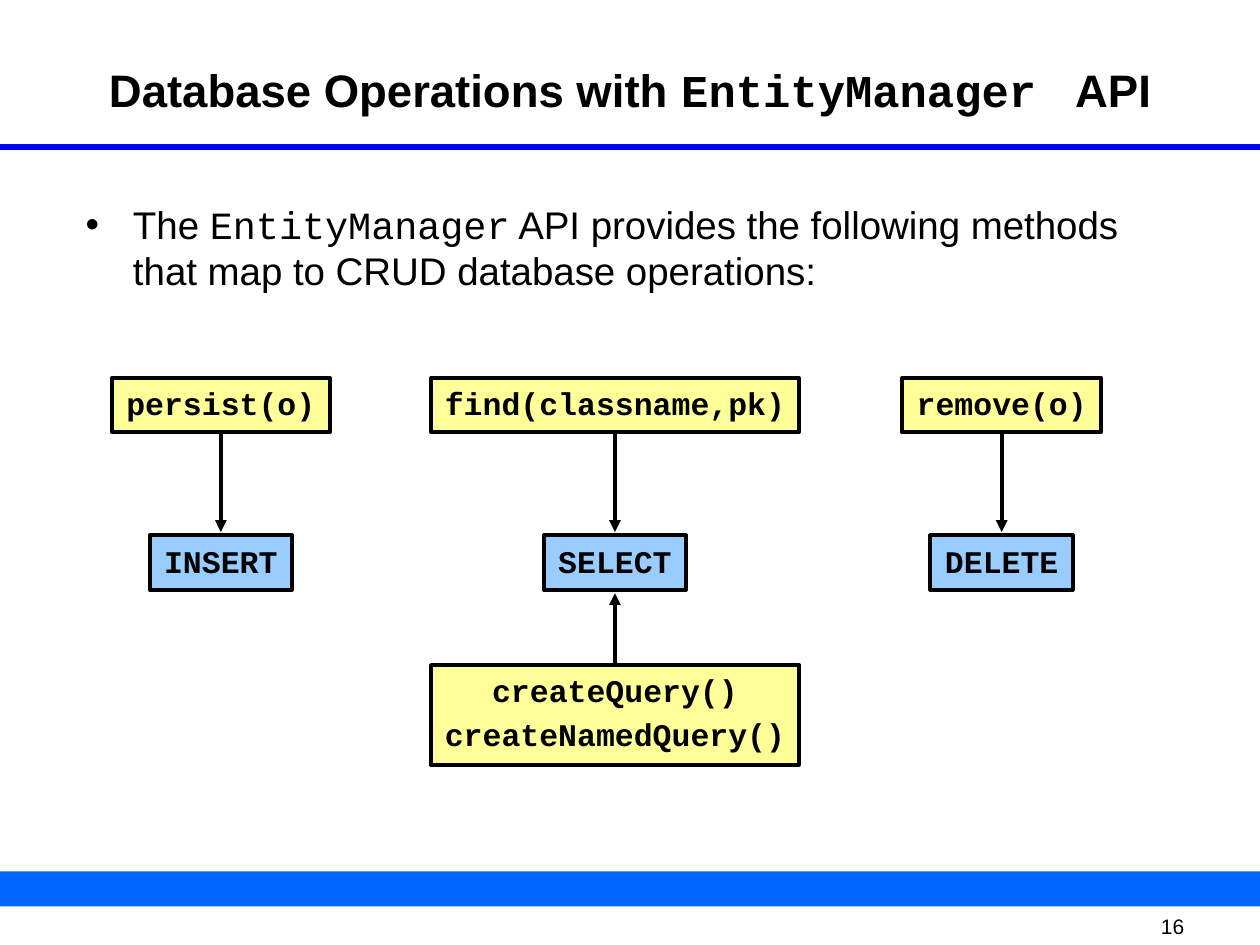
from lxml.etree import SubElement
from pptx import Presentation
from pptx.dml.color import RGBColor
from pptx.enum.shapes import MSO_CONNECTOR as Connector, MSO_SHAPE as Shape
from pptx.enum.text import MSO_ANCHOR as Anchor, PP_ALIGN as Align
from pptx.oxml.ns import qn
from pptx.util import Pt

SANS, MONO = "Arial", "Courier New"
BLACK, YELLOW, SKY = "000000", "FFFF99", "99CCFF"
BAR_BLUE, RULE_BLUE = "0066FF", "0000FF"
WIDTH, HEIGHT = 720, 540

TITLE = [("Database Operations with ", SANS), ("EntityManager ", MONO), (" API", SANS)]
INTRO = [
    ("The ", SANS),
    ("EntityManager", MONO),
    (" API provides the following methods that map to CRUD database operations:", SANS),
]
OPERATIONS = [
    {"center": 126.2, "method": "persist(o)", "width": 124.6, "sql": "INSERT"},
    {"center": 351.4, "method": "find(classname,pk)", "width": 210.2, "sql": "SELECT",
     "queries": ["createQuery()", "createNamedQuery()"]},
    {"center": 572.4, "method": "remove(o)", "width": 113.8, "sql": "DELETE"},
]
METHOD_TOP, SQL_TOP, QUERY_TOP = 216, 306, 380
BOX_HEIGHT, QUERY_HEIGHT, SQL_WIDTH = 31, 57, 81.4
ARROW_GAP = 2


def color(value):
    return RGBColor.from_string(value)


def write(shape, paragraphs, size, bold=False, align=Align.LEFT, anchor=Anchor.TOP,
          inset=None, wrap=True, spacing=0.2, bullet=False):
    frame = shape.text_frame
    frame.word_wrap = wrap
    frame.vertical_anchor = anchor
    if inset is not None:
        frame.margin_left = frame.margin_right = Pt(inset)
        frame.margin_top = frame.margin_bottom = Pt(inset)
    for index, spans in enumerate(paragraphs):
        para = frame.add_paragraph() if index else frame.paragraphs[0]
        para.alignment = align
        para.space_before = Pt(size * spacing)
        if bullet:
            props = para._p.get_or_add_pPr()
            props.set("marL", str(Pt(27)))
            props.set("indent", str(Pt(-27)))
            SubElement(props, qn("a:buFont"), typeface=SANS)
            SubElement(props, qn("a:buChar"), char="•")
        for text, font in spans:
            span = para.add_run()
            span.text = text
            span.font.name = font
            span.font.size = Pt(size)
            span.font.bold = bold
            span.font.color.rgb = color(BLACK)


def add_text(page, left, top, width, height, paragraphs, **style):
    box = page.shapes.add_textbox(Pt(left), Pt(top), Pt(width), Pt(height))
    write(box, paragraphs, **style)


def add_rect(page, left, top, width, height, fill):
    rect = page.shapes.add_shape(Shape.RECTANGLE, Pt(left), Pt(top), Pt(width), Pt(height))
    rect.shadow.inherit = False
    rect.fill.solid()
    rect.fill.fore_color.rgb = color(fill)
    rect.line.fill.background()
    return rect


def add_code_box(page, center, top, width, height, lines, fill):
    box = add_rect(page, center - width / 2, top, width, height, fill)
    box.line.color.rgb = color(BLACK)
    box.line.width = Pt(2.25)
    write(box, [[(line, MONO)] for line in lines], size=18, bold=True,
          align=Align.CENTER, wrap=False)
    return box


def add_line(page, x1, y1, x2, y2, stroke, weight):
    line = page.shapes.add_connector(Connector.STRAIGHT, Pt(x1), Pt(y1), Pt(x2), Pt(y2))
    line.line.color.rgb = color(stroke)
    line.line.width = Pt(weight)
    SubElement(line._element.spPr, qn("a:effectLst"))
    return line


def add_arrow(page, box, side, center, start, end):
    arrow = add_line(page, center, start, center, end, BLACK, 2.25)
    SubElement(arrow.line._get_or_add_ln(), qn("a:tailEnd"), type="triangle")
    arrow.begin_connect(box, side)


def add_operation(page, center, method, width, sql, queries=()):
    source = add_code_box(page, center, METHOD_TOP, width, BOX_HEIGHT, [method], YELLOW)
    add_code_box(page, center, SQL_TOP, SQL_WIDTH, BOX_HEIGHT, [sql], SKY)
    add_arrow(page, source, 2, center, METHOD_TOP + BOX_HEIGHT, SQL_TOP - ARROW_GAP)
    if queries:
        source = add_code_box(page, center, QUERY_TOP, width, QUERY_HEIGHT, queries, YELLOW)
        add_arrow(page, source, 0, center, QUERY_TOP, SQL_TOP + BOX_HEIGHT + ARROW_GAP)


def main():
    deck = Presentation()
    deck.slide_width, deck.slide_height = Pt(WIDTH), Pt(HEIGHT)
    page = deck.slides.add_slide(deck.slide_layouts[6])
    add_text(page, 653, 522, 55, 14, [[(" 16", SANS)]], size=12,
             anchor=Anchor.MIDDLE, spacing=0)
    add_rect(page, 0, 498, WIDTH, 20, BAR_BLUE)
    add_line(page, 0, 84, WIDTH, 84, RULE_BLUE, 3)
    add_text(page, 48, 34.6, 624, 69, [TITLE], size=26, bold=True,
             align=Align.CENTER, inset=1)
    add_text(page, 48, 113.8, 624, 55, [INTRO], size=22, inset=1, bullet=True)
    for operation in OPERATIONS:
        add_operation(page, **operation)
    deck.save("out.pptx")


if __name__ == "__main__":
    main()
